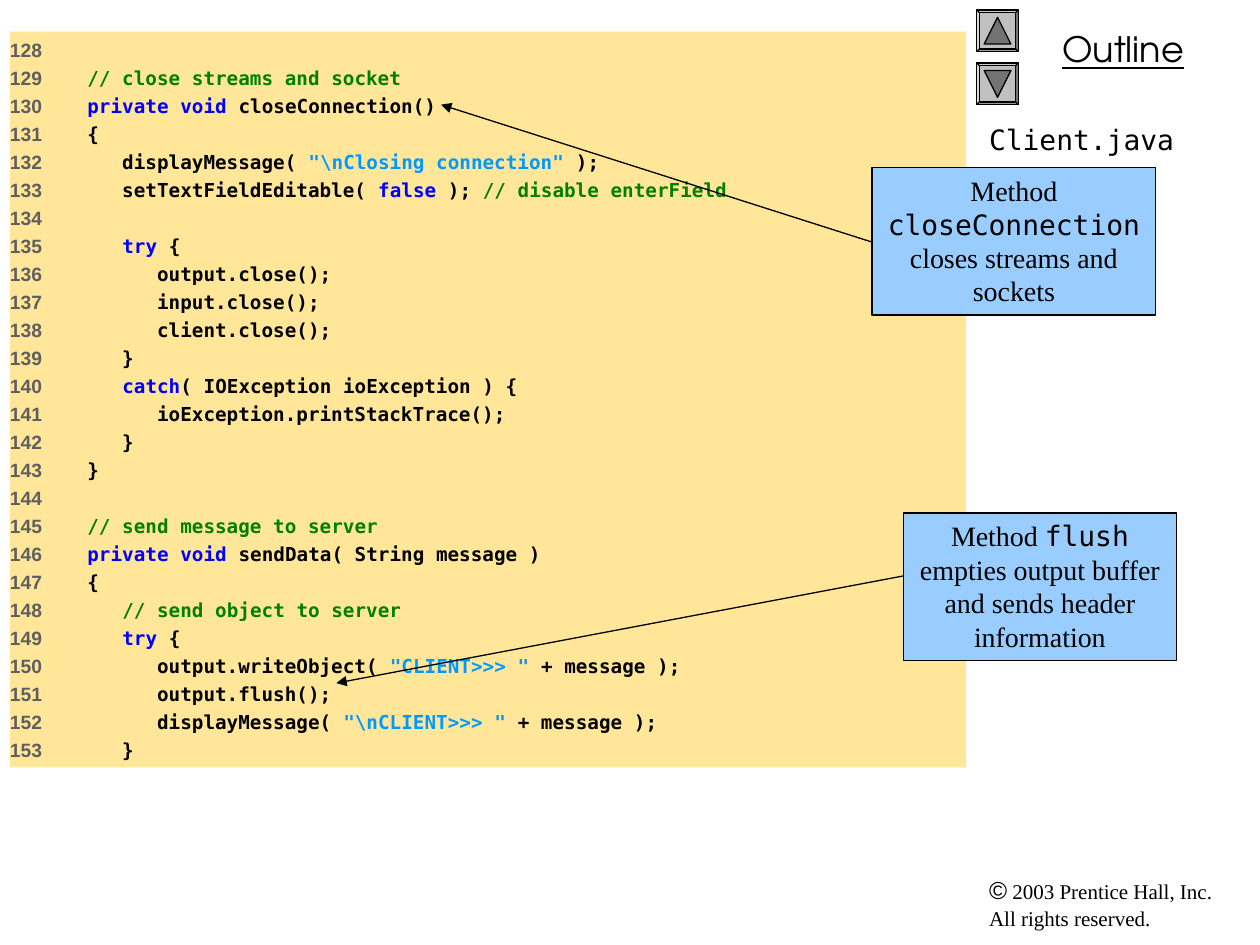
from lxml.etree import SubElement
from pptx import Presentation
from pptx.dml.color import RGBColor
from pptx.enum.shapes import MSO_CONNECTOR, MSO_SHAPE
from pptx.enum.text import MSO_ANCHOR, PP_ALIGN
from pptx.oxml.ns import qn
from pptx.util import Cm, Pt

MONO, SANS, SERIF = "DejaVu Sans Mono", "Arial", "Times New Roman"
BLACK = "000000"
KEYWORDS = ("private void", "false", "try", "catch")
FIRST_LINE = 128
CODE = r'''
   |// close streams and socket
   |private void| closeConnection()
   {
      displayMessage( |"\nClosing connection"| );
      setTextFieldEditable( |false| ); |// disable enterField

      |try| {
         output.close();
         input.close();
         client.close();
      }
      |catch|( IOException ioException ) {
         ioException.printStackTrace();
      }
   }

   |// send message to server
   |private void| sendData( String message )
   {
      |// send object to server
      |try| {
         output.writeObject( |"CLIENT>>> "| + message );
         output.flush();
         displayMessage( |"\nCLIENT>>> "| + message );
      }'''


def rgb(value):
    return RGBColor.from_string(value)


def set_font(font, name, size, color=BLACK):
    font.name = name
    font.size = Pt(size)
    font.color.rgb = rgb(color)


def add_run(p, text, name, size, color=BLACK):
    r = p.add_run()
    r.text = text
    set_font(r.font, name, size, color)


def add_box(s, x, y, w, h, fill, line=None, shape=MSO_SHAPE.RECTANGLE):
    sp = s.shapes.add_shape(shape, Cm(x), Cm(y), Cm(w), Cm(h))
    sp.shadow.inherit = False
    sp.fill.solid()
    sp.fill.fore_color.rgb = rgb(fill)
    if line:
        sp.line.color.rgb = rgb(line)
        sp.line.width = Pt(0.75)
    else:
        sp.line.fill.background()
    sp.text_frame.word_wrap = True
    sp.text_frame.vertical_anchor = MSO_ANCHOR.TOP
    return sp


def add_text(s, x, y, w, h):
    tf = s.shapes.add_textbox(Cm(x), Cm(y), Cm(w), Cm(h)).text_frame
    tf.word_wrap = True
    return tf.paragraphs[0]


def token_color(token):
    if token.startswith("//"):
        return "008000"
    if token.startswith('"'):
        return "0099FF"
    return "0000FF" if token in KEYWORDS else BLACK


def add_code(s, x, y, w, h):
    tf = add_box(s, x, y, w, h, "FFE699").text_frame
    tf.margin_left = 0
    for i, line in enumerate(CODE.split("\n")):
        p = tf.add_paragraph() if i else tf.paragraphs[0]
        tabs = SubElement(p._p.get_or_add_pPr(), qn("a:tabLst"))
        SubElement(tabs, qn("a:tab"), pos=str(Cm(0.86)), algn="l")
        p.alignment = PP_ALIGN.LEFT
        p.line_spacing = Pt(13.2)
        p.space_before = Pt(2.8 if i else 0)
        p.font.bold = True
        number = str(FIRST_LINE + i)
        add_run(p, number + "\t" if line else number, SANS, 11, "5F5F5F")
        for token in filter(None, line.split("|")):
            add_run(p, token, MONO, 11, token_color(token))


def add_callout(s, x, y, w, h, name, rest, start_y, target):
    p = add_box(s, x, y, w, h, "99CCFF", BLACK).text_frame.paragraphs[0]
    p.alignment = PP_ALIGN.CENTER
    p.line_spacing = Pt(19.1)
    for text, font in (("Method ", SERIF), (name, MONO), (rest, SERIF)):
        add_run(p, text, font, 16)
    end_x, end_y = target
    c = s.shapes.add_connector(MSO_CONNECTOR.STRAIGHT, Cm(x), Cm(y + start_y),
                               Cm(end_x), Cm(end_y))
    c.line.color.rgb = rgb(BLACK)
    c.line.width = Pt(0.75)
    SubElement(c.line._get_or_add_ln(), qn("a:tailEnd"), type="triangle")
    SubElement(c._element.spPr, qn("a:effectLst"))


def add_button(s, x, y, size, rotation):
    bevel = add_box(s, x, y, size, size, "C0C0C0", BLACK, MSO_SHAPE.BEVEL)
    bevel.adjustments[0] = 0.06
    inset = 0.15
    side = size - 2 * inset
    arrow = add_box(s, x + inset, y + inset, side, side, "737373", BLACK,
                    MSO_SHAPE.ISOSCELES_TRIANGLE)
    arrow.rotation = rotation


def add_sidebar(s, x, y, w):
    add_button(s, x, y, 0.84, 0)
    add_button(s, x, y + 1.07, 0.84, 180)
    p = add_text(s, x + 0.2, y + 0.23, w - 0.2, 1.12)
    p.text = "Outline"
    p.alignment = PP_ALIGN.CENTER
    p.font.underline = True
    set_font(p.font, "TeX Gyre Adventor", 20)
    p = add_text(s, x, y + 2.14, w, 0.9)
    p.text = "Client.java"
    set_font(p.font, MONO, 16)


def add_footer(s, x, y, w, h):
    p = add_text(s, x, y, w, h)
    p.line_spacing = Pt(15)
    add_run(p, "©", SANS, 14)
    add_run(p, " 2003 Prentice Hall, Inc.", SERIF, 12)
    p.add_line_break()
    add_run(p, "All rights reserved.", SERIF, 12)


def main():
    prs = Presentation()
    prs.slide_width, prs.slide_height = Cm(25.4), Cm(19.05)
    s = prs.slides.add_slide(prs.slide_layouts[6])
    add_footer(s, 19.69, 17.58, 5.51, 1.37)
    add_sidebar(s, 19.69, 0.2, 5.71)
    add_code(s, 0.2, 0.64, 19.28, 14.83)
    add_callout(s, 17.58, 3.38, 5.72, 2.97, "closeConnection",
                " closes streams and sockets", 1.5, (8.89, 2.11))
    add_callout(s, 18.21, 10.34, 5.51, 2.97, "flush",
                " empties output buffer and sends header information",
                1.27, (6.78, 13.77))
    prs.save("out.pptx")


if __name__ == "__main__":
    main()
